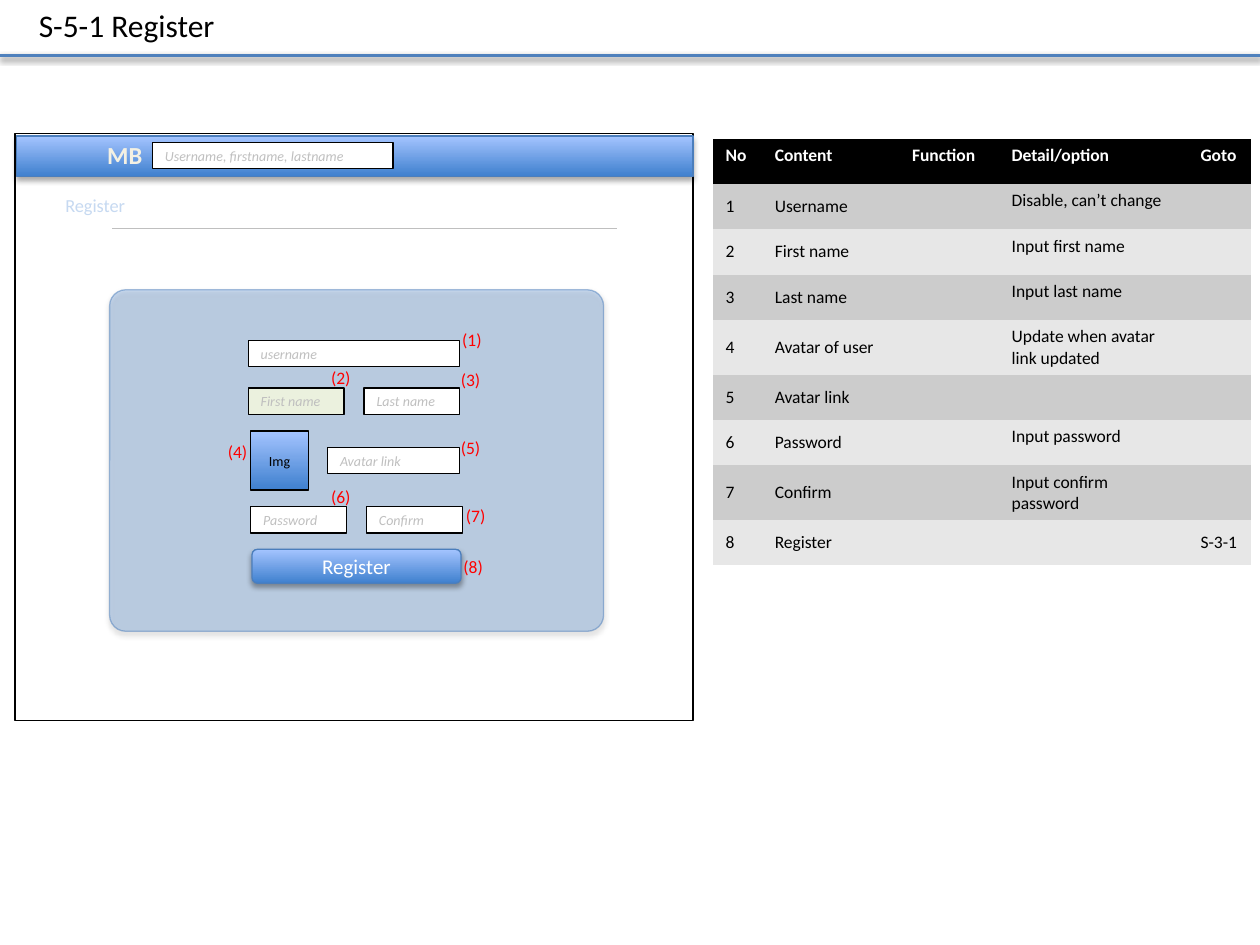
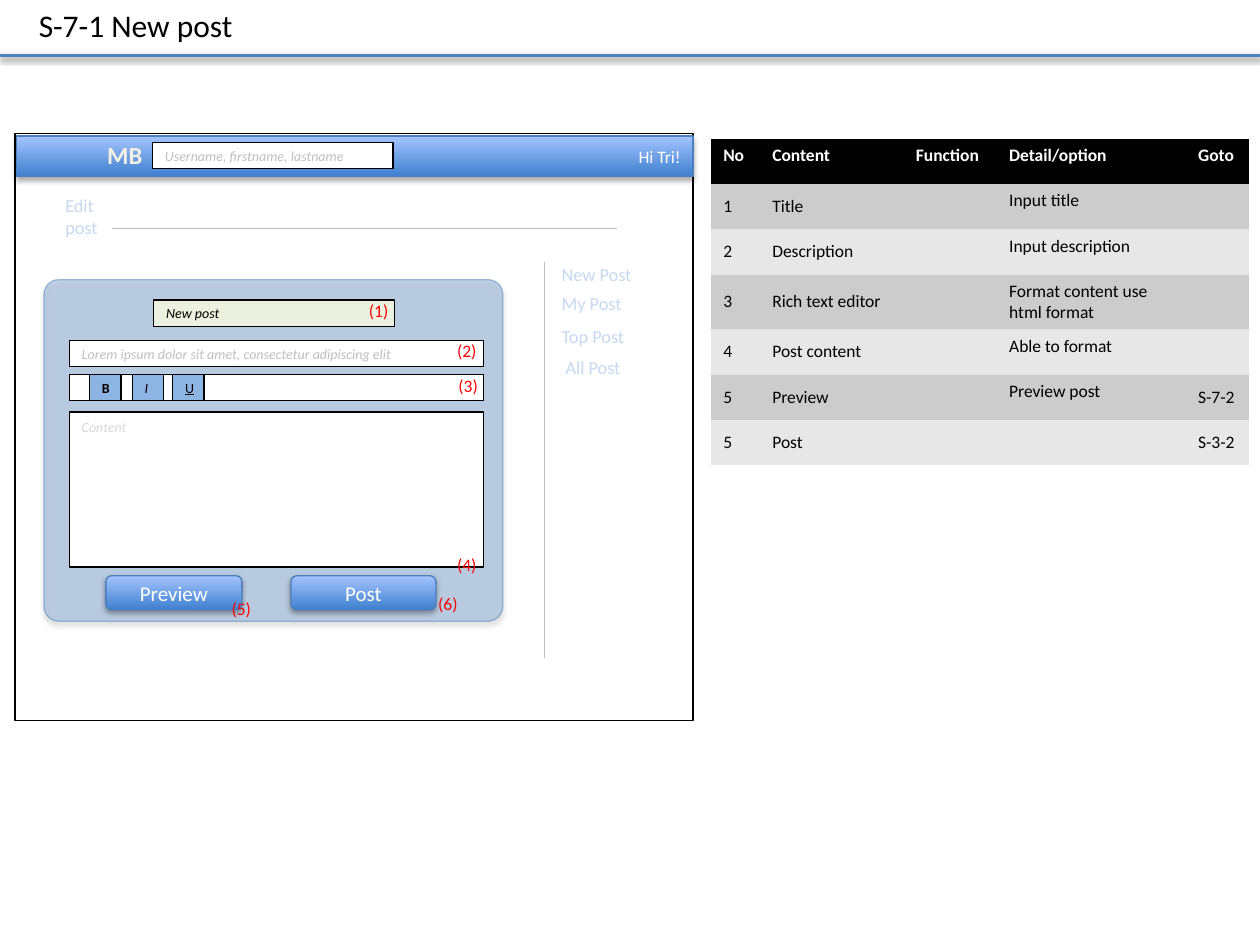
from lxml import etree
from pptx import Presentation
from pptx.dml.color import RGBColor
from pptx.enum import shapes, text
from pptx.oxml.ns import qn
from pptx.util import Inches, Pt

BLACK = RGBColor(0x00, 0x00, 0x00)
WHITE = RGBColor(0xFF, 0xFF, 0xFF)
RED = RGBColor(0xFF, 0x00, 0x00)
RULE_BLUE = RGBColor(0x4F, 0x81, 0xBD)
EDGE_BLUE = RGBColor(0x4B, 0x7E, 0xBC)
GLOSS = (RGBColor(0x3F, 0x80, 0xCE), RGBColor(0xA4, 0xC4, 0xFF))  # bottom, top
PANEL_BLUE = RGBColor(0x55, 0x8E, 0xD5)
TOOL_BLUE = RGBColor(0x8E, 0xB4, 0xE3)
PALE_BLUE = RGBColor(0xC6, 0xD9, 0xF1)
PALE_GREEN = RGBColor(0xEB, 0xF1, 0xDE)
CREAM = RGBColor(0xF4, 0xF1, 0xE3)
BRAND_EDGE = RGBColor(0x05, 0x46, 0x97)
HINT = RGBColor(0xBF, 0xBF, 0xBF)
FAINT = RGBColor(0xD9, 0xD9, 0xD9)
BANDS = RGBColor(0xE7, 0xE7, 0xE7), RGBColor(0xCC, 0xCC, 0xCC)
RECT, ROUND = shapes.MSO_SHAPE.RECTANGLE, shapes.MSO_SHAPE.ROUNDED_RECTANGLE
LEFT, CENTER, RIGHT, JUSTIFY = (text.PP_ALIGN.LEFT, text.PP_ALIGN.CENTER,
                                text.PP_ALIGN.RIGHT, text.PP_ALIGN.JUSTIFY)
TOP, MIDDLE = text.MSO_ANCHOR.TOP, text.MSO_ANCHOR.MIDDLE
NO_GRID = "{2D5ABB26-0587-4C30-8999-92F81FD0307C}"


def effects(shape, opacity=0, distance=1.8):
    """Replace the theme shadow by a soft one below, or by none."""
    properties = shape._element.spPr
    for old in properties.findall(qn("a:effectLst")):
        properties.remove(old)
    effect_list = etree.SubElement(properties, qn("a:effectLst"))
    if opacity:
        shadow = etree.SubElement(
            effect_list, qn("a:outerShdw"), blurRad=str(Pt(3.1)),
            dist=str(Pt(distance)), dir="5400000", rotWithShape="0")
        color = etree.SubElement(shadow, qn("a:srgbClr"), val="000000")
        etree.SubElement(color, qn("a:alpha"), val=str(opacity * 1000))


def box(slide, at, words="", fill=None, edge=BLACK, kind=RECT, size=8, color=HINT,
        bold=False, italic=False, underline=False, align=LEFT, anchor=MIDDLE,
        shadow=0):
    """A filled shape, or a plain unwrapped text box when fill is None."""
    place = [Inches(length) for length in at]
    if fill is None:
        shape = slide.shapes.add_textbox(*place)
        shape.text_frame.word_wrap = False
        shape.text_frame.auto_size = text.MSO_AUTO_SIZE.SHAPE_TO_FIT_TEXT
        anchor = TOP
    else:
        shape = slide.shapes.add_shape(kind, *place)
        if fill is GLOSS:
            shape.fill.gradient()
            shape.fill.gradient_angle = 90
            for stop, tint in zip(shape.fill.gradient_stops, GLOSS):
                stop.color.rgb = tint
        else:
            shape.fill.solid()
            shape.fill.fore_color.rgb = fill
        shape.line.color.rgb = edge
        shape.line.width = Pt(0.75)
        effects(shape, shadow)
    shape.text_frame.vertical_anchor = anchor
    if words:
        shape.text_frame.text = words
        paragraph = shape.text_frame.paragraphs[0]
        paragraph.alignment = align
        font = paragraph.runs[0].font
        font.name, font.size, font.color.rgb = "Calibri", Pt(size), color
        font.bold, font.italic, font.underline = bold, italic, underline
    return shape


HEADER = ("No", "Content", "Function", "Detail/option", "Goto")
pages = [
    {"title": "S-5-1 Register", "title_width": 1.62,
     "heading": "Register", "greeting": "",
     "table_left": 5.66, "columns": (0.39, 1.09, 0.79, 1.5, 0.5),
     "rows": [
         ("1", "Username", "", "Disable, can’t change", ""),
         ("2", "First name", "", "Input first name", ""),
         ("3", "Last name", "", "Input last name", ""),
         ("4", "Avatar of user", "", "Update when avatar link updated ", ""),
         ("5", "Avatar link", "", "", ""),
         ("6", "Password", "", "Input password", ""),
         ("7", "Confirm", "", "Input confirm password", ""),
         ("8", "Register", "", "", "S-3-1")],
     "panel": (0.87, 2.3, 3.92, 2.71), "rounding": 0.047,
     "fields": [
         ("username", 1.97, 2.7, 1.68, WHITE, HINT),
         ("First name", 1.97, 3.08, 0.76, PALE_GREEN, HINT),
         ("Last name", 2.89, 3.08, 0.76, WHITE, HINT),
         ("Avatar link", 2.6, 3.55, 1.05, WHITE, HINT),
         ("Password", 1.99, 4.02, 0.76, WHITE, HINT),
         ("Confirm", 2.91, 4.02, 0.76, WHITE, HINT)],
     "buttons": [("Register", 2, 4.36, 1.66)],
     "callouts": [(3.57, 2.56), (2.53, 2.86), (3.56, 2.88), (1.71, 3.45),
                  (3.56, 3.42), (2.53, 3.81), (3.6, 3.96), (3.58, 4.36)]},
    {"title": "S-7-1 New post", "title_width": 1.76,
     "heading": "Edit post", "greeting": "Hi Tri!",
     "table_left": 5.64, "columns": (0.39, 1.14, 0.74, 1.5, 0.5),
     "rows": [
         ("1", "Title", "", "Input title", ""),
         ("2", "Description", "", "Input description", ""),
         ("3", "Rich text editor", "", "Format content use html format", ""),
         ("4", "Post content", "", "Able to format", ""),
         ("5", "Preview", "", "Preview post", "S-7-2"),
         ("5", "Post", "", "", "S-3-2")],
     "panel": (0.35, 2.22, 3.64, 2.71), "rounding": 0.043,
     "fields": [
         ("New post", 1.22, 2.38, 1.91, PALE_GREEN, BLACK),
         ("Lorem ipsum dolor sit amet, consectetur adipiscing elit",
          0.55, 2.7, 3.29, WHITE, HINT),
         ("", 0.55, 2.97, 3.29, WHITE, HINT)],
     "buttons": [("Preview", 0.84, 4.57, 1.08), ("Post", 2.31, 4.57, 1.15)],
     "callouts": [(2.83, 2.33), (3.53, 2.65), (3.54, 2.93),
                  (3.53, 4.35), (1.74, 4.7), (3.38, 4.66)]},
]

deck = Presentation()
deck.slide_width, deck.slide_height = Inches(10), Inches(7.5)

for page in pages:
    slide = deck.slides.add_slide(deck.slide_layouts[6])

    # Title and browser window with its top bar
    box(slide, (0.21, 0, page["title_width"], 0.4), page["title"], size=18, color=BLACK)
    box(slide, (0.12, 1.06, 5.38, 4.66), fill=WHITE)
    box(slide, (0.13, 1.08, 5.37, 0.32), page["greeting"], GLOSS, EDGE_BLUE,
        size=10, color=WHITE, align=RIGHT, shadow=35)
    brand = box(slide, (0.75, 1.06, 0.48, 0.34), "MB", size=14, color=CREAM,
                bold=True, align=CENTER)
    brand_font = brand.text_frame.paragraphs[0].runs[0]._r.get_or_add_rPr()
    outline = etree.Element(qn("a:ln"), w=str(Pt(1)))
    outline_fill = etree.SubElement(outline, qn("a:solidFill"))
    etree.SubElement(outline_fill, qn("a:srgbClr"), val=str(BRAND_EDGE))
    brand_font.insert(0, outline)
    box(slide, (1.21, 1.13, 1.91, 0.21), "Username, firstname, lastname", WHITE,
        italic=True)
    box(slide, (0.42, 1.49, 0.7, 0.28), page["heading"], size=10.5, color=PALE_BLUE)

    # Rules: under the title, under the heading, beside the menu
    rules = [(0, 0.44, 10, 0.44, RULE_BLUE, 2, 38), (0.89, 1.81, 4.9, 1.81, HINT, 0.25, 0)]
    if page["greeting"]:
        rules.append((4.32, 2.08, 4.32, 5.22, HINT, 0.25, 0))
    for x1, y1, x2, y2, color, weight, shadow in rules:
        rule = slide.shapes.add_connector(
            shapes.MSO_CONNECTOR.STRAIGHT, Inches(x1), Inches(y1), Inches(x2), Inches(y2))
        rule.line.color.rgb, rule.line.width = color, Pt(weight)
        effects(rule, shadow, 1.6)

    # Table of the numbered parts
    lines = [HEADER] + page["rows"]
    frame = slide.shapes.add_table(
        len(lines), len(HEADER), Inches(page["table_left"]), Inches(1.1),
        Inches(sum(page["columns"])), Inches(0.36 * len(lines)))
    table = frame.table
    table._tbl.tblPr.find(qn("a:tableStyleId")).text = NO_GRID
    for column, width in zip(table.columns, page["columns"]):
        column.width = Inches(width)
    for r, line in enumerate(lines):
        table.rows[r].height = Inches(0.36)
        for c, words in enumerate(line):
            cell = table.cell(r, c)
            cell.fill.solid()
            cell.fill.fore_color.rgb = BANDS[r % 2] if r else BLACK
            cell.vertical_anchor = MIDDLE if r and c != 3 else TOP
            paragraph = cell.text_frame.paragraphs[0]
            if words:
                paragraph.text = words
                font = paragraph.runs[0].font
                font.name, font.size, font.bold = "Calibri", Pt(10), r == 0
                font.color.rgb = BLACK if r else WHITE
            else:
                etree.SubElement(paragraph._p, qn("a:endParaRPr"), sz="1000")

    # Translucent form panel
    panel = box(slide, page["panel"], fill=PANEL_BLUE, edge=EDGE_BLUE, kind=ROUND, shadow=35)
    panel.adjustments[0] = page["rounding"]
    for color, opacity in zip(panel._element.spPr.iter(qn("a:srgbClr")), (30, 50)):
        etree.SubElement(color, qn("a:alpha"), val=str(opacity * 1000))

    # Fields and buttons
    for words, left, top, width, fill, color in page["fields"]:
        box(slide, (left, top, width, 0.21), words, fill, color=color, italic=True)
    for words, left, top, width in page["buttons"]:
        box(slide, (left, top, width, 0.27), words, GLOSS, EDGE_BLUE, ROUND,
            size=12, color=WHITE, align=CENTER, shadow=35)

    # Parts of one form only: avatar, or editor and menu
    if page["heading"] == "Register":
        box(slide, (1.99, 3.42, 0.46, 0.47), "Img", GLOSS, color=BLACK, align=CENTER)
    else:
        box(slide, (0.55, 3.27, 3.29, 1.23), "Content", WHITE, color=FAINT,
            italic=True, align=JUSTIFY, anchor=TOP)
        for letter, left in (("B", 0.71), ("I", 1.05), ("U", 1.37)):
            box(slide, (left, 2.97, 0.25, 0.21), letter, TOOL_BLUE, color=BLACK,
                bold=letter == "B", italic=letter == "I", underline=letter == "U")
        for words, left, top, width in (
                ("New Post", 4.36, 2.04, 0.77), ("My Post ", 4.36, 2.27, 0.69),
                ("Top Post ", 4.36, 2.53, 0.72), ("All Post ", 4.39, 2.78, 0.65)):
            box(slide, (left, top, width, 0.28), words, size=10.5, color=PALE_BLUE)

    # Red numbers that refer to the table
    for number, (left, top) in enumerate(page["callouts"], 1):
        box(slide, (left, top, 0.36, 0.27), f"({number})", size=10, color=RED)

deck.save("out.pptx")
